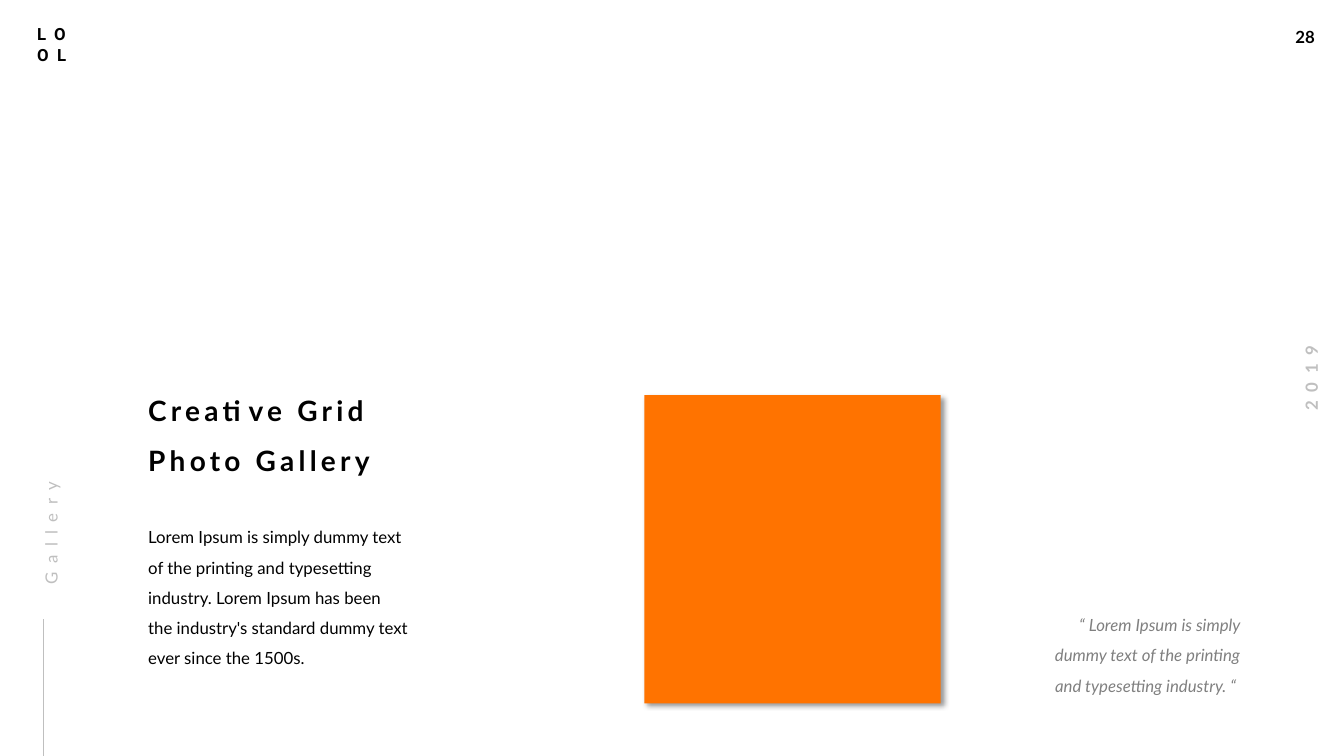
"""Build the gallery slide with a heading, body text, quote and colour block."""
import pptx
import pptx.dml.color
import pptx.enum.shapes
import pptx.enum.text
import pptx.oxml
import pptx.util

Inches, Pt = pptx.util.Inches, pptx.util.Pt
RGBColor = pptx.dml.color.RGBColor
ALIGN = pptx.enum.text.PP_ALIGN

COLORS = {"ink": "000000", "pale": "BFBFBF", "quote": "808080", "block": "FF7300"}
PLAIN = (0.1, 0.05, 0.1, 0.05)
FLUSH = (0, 0, 0.1, 0)
BODY = ("Lorem Ipsum is simply dummy text of the printing and typesetting industry. "
        "Lorem Ipsum has been the industry's standard dummy text ever since the 1500s.")
QUOTE = "“ Lorem Ipsum is simply dummy text of the printing and typesetting industry. “ "

BLOCK = (6.39, 3.92, 2.94, 3.06)
RULE = (0.43, 7.5, 0.43, 6.14)
TEXTS = [
    dict(at=(12.75, 0.22, 0.41, 0.3), lines=["28"], bold=True, wrap=False),
    dict(at=(12.54, 3.6, 0.93, 0.3), lines=["2019"], bold=True, wrap=False,
         color="pale", tracking=6, align=ALIGN.CENTER, rotation=270),
    dict(at=(0.27, 0.19, 0.59, 0.5), lines=["LO", "OL"], bold=True, font="Roboto", tracking=6),
    dict(at=(1.47, 5.13, 2.69, 1.47), lines=[BODY], insets=FLUSH, leading=1.5),
    dict(at=(1.47, 3.9, 2.88, 0.84), lines=["Creative Grid", "Photo Gallery"],
         insets=FLUSH, size=20, bold=True, tracking=3, gap=12),
    dict(at=(-0.49, 4.74, 1.85, 0.26), lines=["Gallery"], insets=FLUSH, leading=1.5,
         color="pale", tracking=6, rotation=270),
    dict(at=(10.46, 6, 1.94, 0.87), lines=[QUOTE], insets=FLUSH, leading=1.5,
         color="quote", italic=True, align=ALIGN.RIGHT),
]
SHADOW = ('<a:effectLst xmlns:a="http://schemas.openxmlformats.org/drawingml/2006/main">'
          '<a:outerShdw blurRad="50800" dist="38100" dir="2700000" algn="tl" rotWithShape="0">'
          '<a:srgbClr val="000000"><a:alpha val="40000"/></a:srgbClr>'
          '</a:outerShdw></a:effectLst>')
NO_EFFECT = '<a:effectLst xmlns:a="http://schemas.openxmlformats.org/drawingml/2006/main"/>'


def rgb(name):
    return RGBColor.from_string(COLORS[name])


def add_text(s, at, lines, font="Lato", size=12, color="ink", bold=False, italic=False,
             tracking=0, align=ALIGN.LEFT, leading=None, gap=0, insets=PLAIN,
             wrap=True, rotation=0):
    sp = s.shapes.add_textbox(*map(Inches, at))
    sp.rotation = rotation
    tf = sp.text_frame
    tf.word_wrap = wrap
    tf.auto_size = pptx.enum.text.MSO_AUTO_SIZE.SHAPE_TO_FIT_TEXT
    tf.margin_left, tf.margin_top, tf.margin_right, tf.margin_bottom = map(Inches, insets)
    for i, line in enumerate(lines):
        p = tf.add_paragraph() if i else tf.paragraphs[0]
        p.alignment = align
        if leading:
            p.line_spacing = leading
        if i and gap:
            p.space_before = Pt(gap)
        r = p.add_run()
        r.text = line
        r.font.name, r.font.size = font, Pt(size)
        r.font.bold, r.font.italic = bold, italic
        r.font.color.rgb = rgb(color)
        if tracking:
            r.font._element.set("spc", str(tracking * 100))


def add_block(s):
    sp = s.shapes.add_shape(pptx.enum.shapes.MSO_SHAPE.RECTANGLE, *map(Inches, BLOCK))
    sp.fill.solid()
    sp.fill.fore_color.rgb = rgb("block")
    sp.line.fill.background()
    sp._element.spPr.append(pptx.oxml.parse_xml(SHADOW))


def add_rule(s):
    line = s.shapes.add_connector(pptx.enum.shapes.MSO_CONNECTOR.STRAIGHT, *map(Inches, RULE))
    line.line.color.rgb = rgb("pale")
    line.line.width = Pt(0.5)
    line._element.spPr.append(pptx.oxml.parse_xml(NO_EFFECT))


def main():
    prs = pptx.Presentation()
    prs.slide_width, prs.slide_height = Inches(13.33), Inches(7.5)
    s = prs.slides.add_slide(prs.slide_layouts[6])
    add_block(s)
    add_rule(s)
    for text in TEXTS:
        add_text(s, **text)
    prs.save("out.pptx")


if __name__ == "__main__":
    main()
